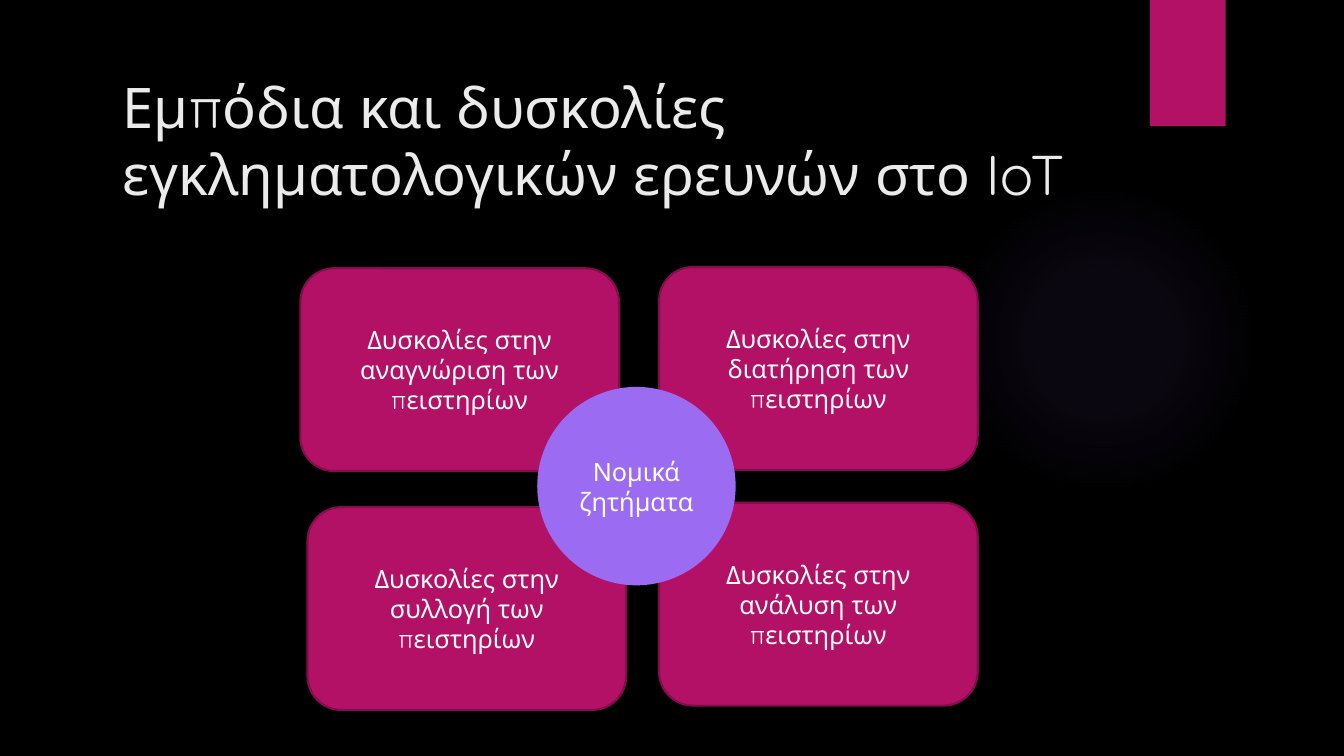
"""Build a slide on the obstacles to forensic investigations in the IoT."""
from dataclasses import dataclass
from typing import Optional

from lxml.etree import SubElement
from pptx import Presentation
from pptx.dml.color import RGBColor
from pptx.enum.shapes import MSO_SHAPE as Preset
from pptx.enum.text import MSO_ANCHOR as Anchor, PP_ALIGN as Align
from pptx.oxml.ns import qn
from pptx.shapes.autoshape import Shape
from pptx.slide import Slide
from pptx.text.text import TextFrame
from pptx.util import Cm, Pt


@dataclass(frozen=True)
class Theme:
    font: str = "Quicksand"
    title_size: int = 40
    body_size: int = 18
    background: str = "000000"
    title: str = "EBEBEB"
    body: str = "FFFFFF"
    pink: str = "B31166"
    pink_edge: str = "840D4B"
    violet: str = "9B6BF2"


@dataclass(frozen=True)
class Block:
    preset: Preset
    left: float
    top: float
    width: float
    height: float
    fill: str
    edge: Optional[str] = None
    text: str = ""


THEME = Theme()
TITLE = "Εμπόδια και δυσκολίες εγκληματολογικών ερευνών στο IoT"
GLOW = Block(Preset.OVAL, 23.9, 4.65, 7.82, 7.82, THEME.violet)
GLOW_STOPS = ((0, 7), (36, 6), (69, 0))
RIBBON = Block(Preset.RECTANGLE, 28.98, 0, 1.91, 3.18, THEME.pink)
DIFFICULTIES = (
    (7.57, 6.76, "αναγνώριση"),
    (16.61, 6.73, "διατήρηση"),
    (7.75, 12.78, "συλλογή"),
    (16.61, 12.67, "ανάλυση"),
)
CARDS = tuple(
    Block(Preset.ROUNDED_RECTANGLE, left, top, 8.03, 5.11, THEME.pink,
          THEME.pink_edge, f"Δυσκολίες στην {task} των πειστηρίων")
    for left, top, task in DIFFICULTIES
)
LEGAL = Block(Preset.OVAL, 13.54, 9.75, 5, 5, THEME.violet, text="Νομικά ζητήματα")


def write_text(frame: TextFrame, text: str, size: int, color: str, align: Align) -> None:
    """Fill a text frame with one formatted paragraph."""
    for name, value in {"word_wrap": True, "vertical_anchor": Anchor.MIDDLE}.items():
        setattr(frame, name, value)
    para = frame.paragraphs[0]
    para.alignment = align
    span = para.add_run()
    span.text = text
    for name, value in {"name": THEME.font, "size": Pt(size), "bold": False}.items():
        setattr(span.font, name, value)
    span.font.color.rgb = RGBColor.from_string(color)


def draw_block(page: Slide, block: Block) -> Shape:
    """Draw a filled shape with its optional edge and text."""
    lengths = (Cm(n) for n in (block.left, block.top, block.width, block.height))
    shape = page.shapes.add_shape(block.preset, *lengths)
    shape.shadow.inherit = False
    shape.fill.solid()
    shape.fill.fore_color.rgb = RGBColor.from_string(block.fill)
    if block.edge:
        shape.line.color.rgb = RGBColor.from_string(block.edge)
        shape.line.width = Pt(1.5)
    else:
        shape.line.fill.background()
    if block.text:
        write_text(shape.text_frame, block.text, THEME.body_size, THEME.body, Align.CENTER)
    return shape


def make_radial(shape: Shape, color: str) -> None:
    """Replace a solid fill by a glow that fades from the centre."""
    properties = shape.element.spPr
    solid = properties.find(qn("a:solidFill"))
    gradient = SubElement(properties, qn("a:gradFill"), rotWithShape="1")
    stops = SubElement(gradient, qn("a:gsLst"))
    for position, alpha in GLOW_STOPS:
        stop = SubElement(stops, qn("a:gs"), pos=str(position * 1000))
        tint = SubElement(stop, qn("a:srgbClr"), val=color)
        SubElement(tint, qn("a:alpha"), val=str(alpha * 1000))
    circle = SubElement(gradient, qn("a:path"), {"path": "circle"})
    SubElement(circle, qn("a:fillToRect"), {side: "50000" for side in "ltrb"})
    properties.replace(solid, gradient)


def place_title(page: Slide) -> None:
    """Move and format the title placeholder."""
    title = page.shapes.title
    place = {"left": 2.84, "top": 1.47, "width": 24.51, "height": 4.09}
    for name, value in place.items():
        setattr(title, name, Cm(value))
    write_text(title.text_frame, TITLE, THEME.title_size, THEME.title, Align.LEFT)


def main() -> None:
    """Assemble and save the deck."""
    deck = Presentation()
    deck.slide_width, deck.slide_height = Cm(33.87), Cm(19.05)
    page = deck.slides.add_slide(deck.slide_layouts.get_by_name("Title Only"))
    page.background.fill.solid()
    page.background.fill.fore_color.rgb = RGBColor.from_string(THEME.background)
    make_radial(draw_block(page, GLOW), THEME.violet)
    draw_block(page, RIBBON)
    place_title(page)
    for block in (*CARDS, LEGAL):
        draw_block(page, block)
    deck.save("out.pptx")


if __name__ == "__main__":
    main()
